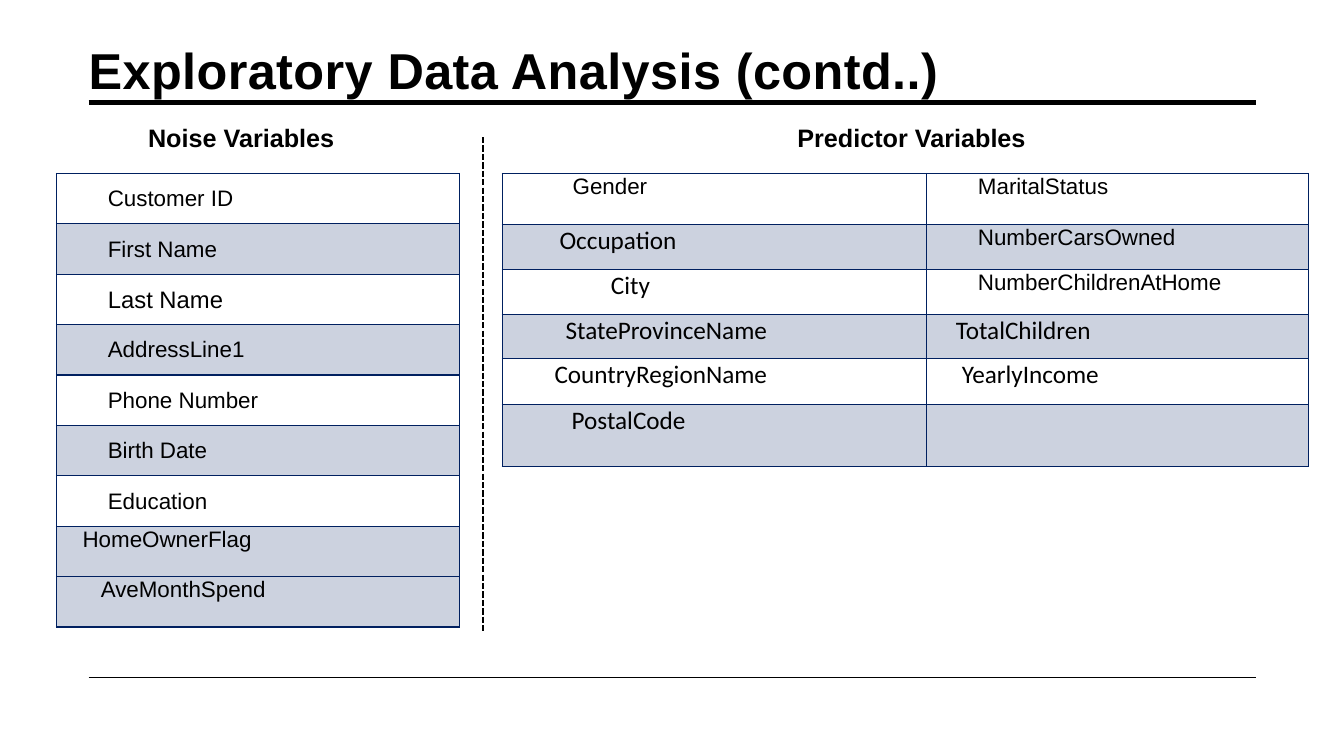
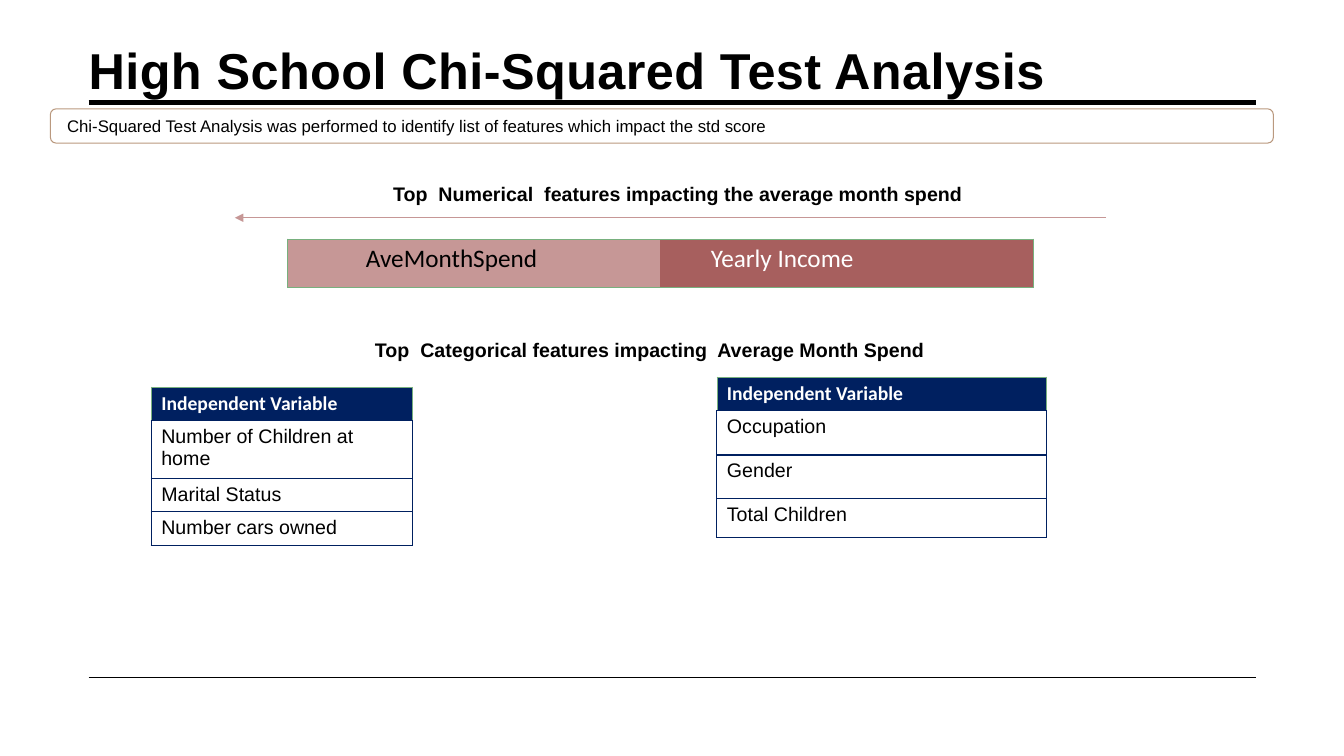
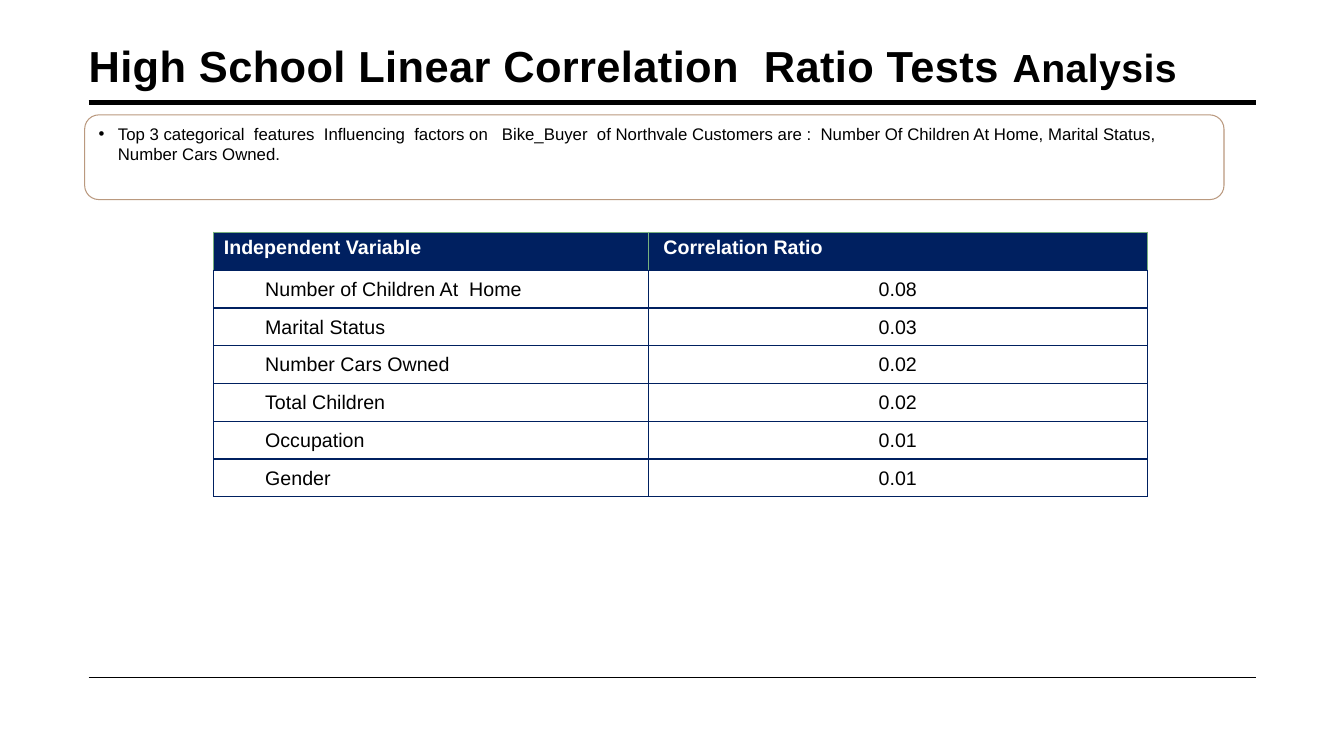
"""Build three slides on customer variables and their correlation tests."""
from dataclasses import dataclass, replace
from typing import Any

from lxml import etree
from pptx import Presentation
from pptx.dml.color import RGBColor
from pptx.enum.dml import MSO_LINE
from pptx.enum.shapes import MSO_CONNECTOR, MSO_SHAPE
from pptx.enum.text import MSO_ANCHOR, PP_ALIGN
from pptx.oxml.ns import qn
from pptx.util import Inches, Pt

STRAIGHT = MSO_CONNECTOR.STRAIGHT
ROUNDED = MSO_SHAPE.ROUNDED_RECTANGLE
DASHED = MSO_LINE.SQUARE_DOT
TOP, MIDDLE = MSO_ANCHOR.TOP, MSO_ANCHOR.MIDDLE
LEFT, CENTER = PP_ALIGN.LEFT, PP_ALIGN.CENTER

BLACK, WHITE, NAVY, BAND = "000000", "FFFFFF", "002060", "CCD2DF"
GREEN, TAN, ROSE, BRICK = "78B07E", "BA997F", "C69796", "A75F5E"
PLAIN_TABLE = "{2D5ABB26-0587-4C30-8999-92F81FD0307C}"

NAVY_BORDERS = {side: (NAVY, 1) for side in "LRTB"}
HEADER_BORDERS = {side: (GREEN, 0.5) for side in "LRT"} | {"B": (NAVY, 1)}


@dataclass(frozen=True)
class Span:
    """A piece of text with one format."""
    text: str
    size: float
    bold: bool = False
    font: str = "Arial"
    color: str = BLACK


@dataclass(frozen=True)
class Cell:
    """A table cell, with its text set in by an indent."""
    text: str
    indent: float = 0
    size: float = 14
    font: str = "Arial"
    color: str = BLACK
    bold: bool = False
    fill: str = WHITE
    tight: bool = False
    anchor: Any = TOP
    align: Any = LEFT
    borders: Any = None


@dataclass(frozen=True)
class Grid:
    """A table's place, sizes and rows of cells."""
    left: float
    top: float
    columns: list[float]
    heights: list[float]
    rows: list[list[Cell]]


@dataclass(frozen=True)
class Rule:
    """A straight line between two points."""
    start: tuple[float, float]
    end: tuple[float, float]
    color: str = BLACK
    width: float = 1
    dashed: bool = False
    arrow: bool = False


PAGE_RULES = [
    Rule((0.88, 1.02), (12.46, 1.02), width=3.5),
    Rule((0.88, 6.72), (12.46, 6.72)),
]


def rgb(color: str) -> RGBColor:
    """Turn a hex string into a colour."""
    return RGBColor.from_string(color)


def apply(target: Any, values: dict[str, Any]) -> None:
    """Set each named attribute of the target."""
    for name, value in values.items():
        setattr(target, name, value)


def add_span(para: Any, span: Span, spacing: float = 0) -> None:
    """Add a formatted run to a paragraph."""
    run = para.add_run()
    run.text = span.text
    apply(run.font, {"size": Pt(span.size), "bold": span.bold, "name": span.font})
    run.font.color.rgb = rgb(span.color)
    if spacing:
        run._r.get_or_add_rPr().set("spc", str(round(spacing * 100)))


def add_text(page: Any, left: float, top: float, width: float, height: float,
             spans: list[Span], spacing: float = 0) -> None:
    """Add a wrapped one-paragraph text box."""
    box = page.shapes.add_textbox(Inches(left), Inches(top), Inches(width), Inches(height))
    apply(box.text_frame, {"word_wrap": True, "vertical_anchor": TOP})
    for span in spans:
        add_span(box.text_frame.paragraphs[0], span, spacing)


def add_rule(page: Any, rule: Rule) -> None:
    """Draw a straight line."""
    points = [Inches(value) for value in (*rule.start, *rule.end)]
    connector = page.shapes.add_connector(STRAIGHT, *points)
    connector.line.color.rgb = rgb(rule.color)
    connector.line.width = Pt(rule.width)
    if rule.dashed:
        connector.line.dash_style = DASHED
    if rule.arrow:
        line = connector.line._get_or_add_ln()
        etree.SubElement(line, qn("a:tailEnd"), {"type": "triangle"})
    etree.SubElement(connector._element.spPr, qn("a:effectLst"))


def add_callout(page: Any, left: float, top: float, width: float, height: float,
                text: str, indent: float = 0, bullet: bool = False) -> None:
    """Add an outlined rounded box holding a note."""
    box = page.shapes.add_shape(ROUNDED, Inches(left), Inches(top), Inches(width), Inches(height))
    box.shadow.inherit = False
    box.fill.background()
    box.line.color.rgb = rgb(TAN)
    box.line.width = Pt(0.75)
    apply(box.text_frame, {"word_wrap": True, "vertical_anchor": TOP})
    para = box.text_frame.paragraphs[0]
    para.alignment = LEFT
    properties = para._p.get_or_add_pPr()
    properties.set("marL", str(Inches(indent)))
    if bullet:
        properties.set("indent", str(-Inches(indent)))
        etree.SubElement(properties, qn("a:buFont"), {"typeface": "Arial"})
        etree.SubElement(properties, qn("a:buChar"), {"char": "•"})
    add_span(para, Span(text, 12))


def add_borders(target: Any, borders: dict[str, tuple[str, float]]) -> None:
    """Draw the named sides of a table cell."""
    properties = target._tc.get_or_add_tcPr()
    for side, (color, width) in borders.items():
        line = etree.SubElement(properties, qn(f"a:ln{side}"), {"w": str(Pt(width))})
        fill = etree.SubElement(line, qn("a:solidFill"))
        etree.SubElement(fill, qn("a:srgbClr"), {"val": color})


def fill_cell(target: Any, cell: Cell) -> None:
    """Format one table cell and write its text."""
    add_borders(target, NAVY_BORDERS if cell.borders is None else cell.borders)
    target.fill.solid()
    target.fill.fore_color.rgb = rgb(cell.fill)
    side, top, bottom = (0.01, 0.01, 0) if cell.tight else (0.1, 0.05, 0.05)
    apply(target, {
        "margin_left": Inches(side + cell.indent), "margin_right": Inches(side),
        "margin_top": Inches(top), "margin_bottom": Inches(bottom),
        "vertical_anchor": cell.anchor,
    })
    para = target.text_frame.paragraphs[0]
    para.alignment = cell.align
    if cell.text:
        add_span(para, Span(cell.text, cell.size, cell.bold, cell.font, cell.color))


def add_grid(page: Any, grid: Grid) -> None:
    """Add a table."""
    frame = page.shapes.add_table(
        len(grid.heights), len(grid.columns), Inches(grid.left), Inches(grid.top),
        Inches(sum(grid.columns)), Inches(sum(grid.heights)))
    table = frame.table
    apply(table, {"first_row": False, "horz_banding": False})
    table._tbl.tblPr.find(qn("a:tableStyleId")).text = PLAIN_TABLE
    for column, width in zip(table.columns, grid.columns):
        column.width = Inches(width)
    for row, height, cells in zip(table.rows, grid.heights, grid.rows):
        row.height = Inches(height)
        for target, cell in zip(row.cells, cells):
            fill_cell(target, cell)


def add_page(deck: Any, title: list[Span]) -> Any:
    """Add a blank page with the shared title and rules."""
    page = deck.slides.add_slide(deck.slide_layouts[6])
    for rule in PAGE_RULES:
        add_rule(page, rule)
    add_text(page, 0.78, 0.34, 11.85, 0.69, title, spacing=0.3)
    return page


def header(text: str, font: str, indent: float = 0) -> Cell:
    """Make a navy header cell."""
    return Cell(text, indent, font=font, color=WHITE, bold=True, fill=NAVY,
                borders=HEADER_BORDERS)


def build_variables(deck: Any) -> None:
    """Build the page of noise and predictor variables."""
    page = add_page(deck, [Span("Exploratory Data Analysis (contd..)", 36, True)])
    arial = Cell("", 0.5, size=16, tight=True)
    calibri = replace(arial, size=18, font="Calibri")
    predictors = [
        [replace(arial, text="Gender", indent=0.69), replace(arial, text="MaritalStatus")],
        [replace(calibri, text="Occupation", indent=0.56),
         replace(arial, text="NumberCarsOwned")],
        [replace(calibri, text="City", indent=1.07),
         replace(arial, text="NumberChildrenAtHome")],
        [replace(calibri, text="StateProvinceName", indent=0.62),
         replace(calibri, text="TotalChildren", indent=0.28)],
        [replace(calibri, text="CountryRegionName", indent=0.51),
         replace(calibri, text="YearlyIncome", indent=0.34)],
        [replace(calibri, text="PostalCode", indent=0.68), calibri],
    ]
    banded = [[replace(cell, fill=BAND if index % 2 else WHITE) for cell in row]
              for index, row in enumerate(predictors)]
    add_grid(page, Grid(4.98, 1.72, [4.21, 3.79],
                        [0.51, 0.44, 0.45, 0.44, 0.45, 0.62], banded))

    names = ["Customer ID", "First Name", "Last Name", "AddressLine1",
             "Phone Number", "Birth Date", "Education"]
    noise = [replace(arial, text=name, anchor=MIDDLE, fill=BAND if index % 2 else WHITE,
                     size=17 if name == "Last Name" else 16)
             for index, name in enumerate(names)]
    noise += [replace(arial, text=name, indent=indent, fill=BAND)
              for name, indent in (("HomeOwnerFlag", 0.25), ("AveMonthSpend", 0.43))]
    add_grid(page, Grid(0.56, 1.72, [4], [0.5] * len(noise), [[cell] for cell in noise]))

    for left, label in ((1.37, "Noise Variables"), (7.81, "Predictor Variables")):
        add_text(page, left, 1.16, 2.97, 0.4, [Span(label, 18, True)])
    add_rule(page, Rule((4.79, 1.36), (4.79, 6.28), width=1.5, dashed=True))


def build_chi_squared(deck: Any) -> None:
    """Build the page of chi-squared test features."""
    page = add_page(deck, [Span("High School Chi-Squared Test Analysis", 36, True)])
    add_callout(page, 0.5, 1.08, 12.13, 0.34,
                "Chi-Squared Test Analysis was performed to identify list of features "
                "which impact the std score", indent=0.05)
    headings = [
        (3.8, 1.76, 6.26, "Top  Numerical  features impacting the average month spend"),
        (3.62, 3.3, 5.87, "Top  Categorical features impacting  Average Month Spend"),
    ]
    for left, top, width, text in headings:
        add_text(page, left, top, width, 0.34, [Span(text, 14, True)])
    add_rule(page, Rule((10.97, 2.16), (2.33, 2.16), ROSE, 0.5, arrow=True))

    features = [
        Cell("AveMonthSpend", 0.68, 18, "Calibri", fill=ROSE,
             borders={side: (GREEN, 0.5) for side in "LTB"}),
        Cell("Yearly Income", 0.4, 18, "Calibri", WHITE, fill=BRICK,
             borders={side: (GREEN, 0.5) for side in "RTB"}),
    ]
    add_grid(page, Grid(2.85, 2.37, [3.7, 3.7], [0.48], [features]))

    categorical = [
        (1.5, 3.84, 2.59, [0.33, 0.57, 0.33, 0.33],
         ["Number of Children at home", "Marital Status", "Number cars owned"]),
        (7.11, 3.74, 3.27, [0.33, 0.44, 0.43, 0.39],
         ["Occupation", "Gender", "Total Children"]),
    ]
    for left, top, width, heights, names in categorical:
        cells = [header("Independent Variable", "Calibri"), *map(Cell, names)]
        add_grid(page, Grid(left, top, [width], heights, [[cell] for cell in cells]))


def build_correlation(deck: Any) -> None:
    """Build the page of correlation ratios."""
    page = add_page(deck, [Span("High School Linear Correlation  Ratio Tests ", 31, True),
                           Span("Analysis", 28, True)])
    add_callout(page, 0.84, 1.14, 11.3, 0.84,
                "Top 3 categorical  features  Influencing  factors on   Bike_Buyer  of "
                "Northvale Customers are :  Number Of Children At Home, Marital Status, "
                "Number Cars Owned.", indent=0.19, bullet=True)
    ratios = [("Number of Children At  Home", "0.08"), ("Marital Status", "0.03"),
              ("Number Cars Owned", "0.02"), ("Total Children", "0.02"),
              ("Occupation", "0.01"), ("Gender", "0.01")]
    body = Cell("", tight=True, anchor=MIDDLE)
    rows = [[header("Independent Variable", "Arial"),
             header("Correlation Ratio", "Arial", 0.05)]]
    rows += [[replace(body, text=name, indent=0.5), replace(body, text=ratio, align=CENTER)]
             for name, ratio in ratios]
    add_grid(page, Grid(2.12, 2.3, [4.31, 4.95], [0.38] + [0.375] * len(ratios), rows))


def main() -> None:
    """Build and save the deck."""
    deck = Presentation()
    apply(deck, {"slide_width": Inches(13.33), "slide_height": Inches(7.5)})
    for build in (build_variables, build_chi_squared, build_correlation):
        build(deck)
    deck.save("out.pptx")


if __name__ == "__main__":
    main()
